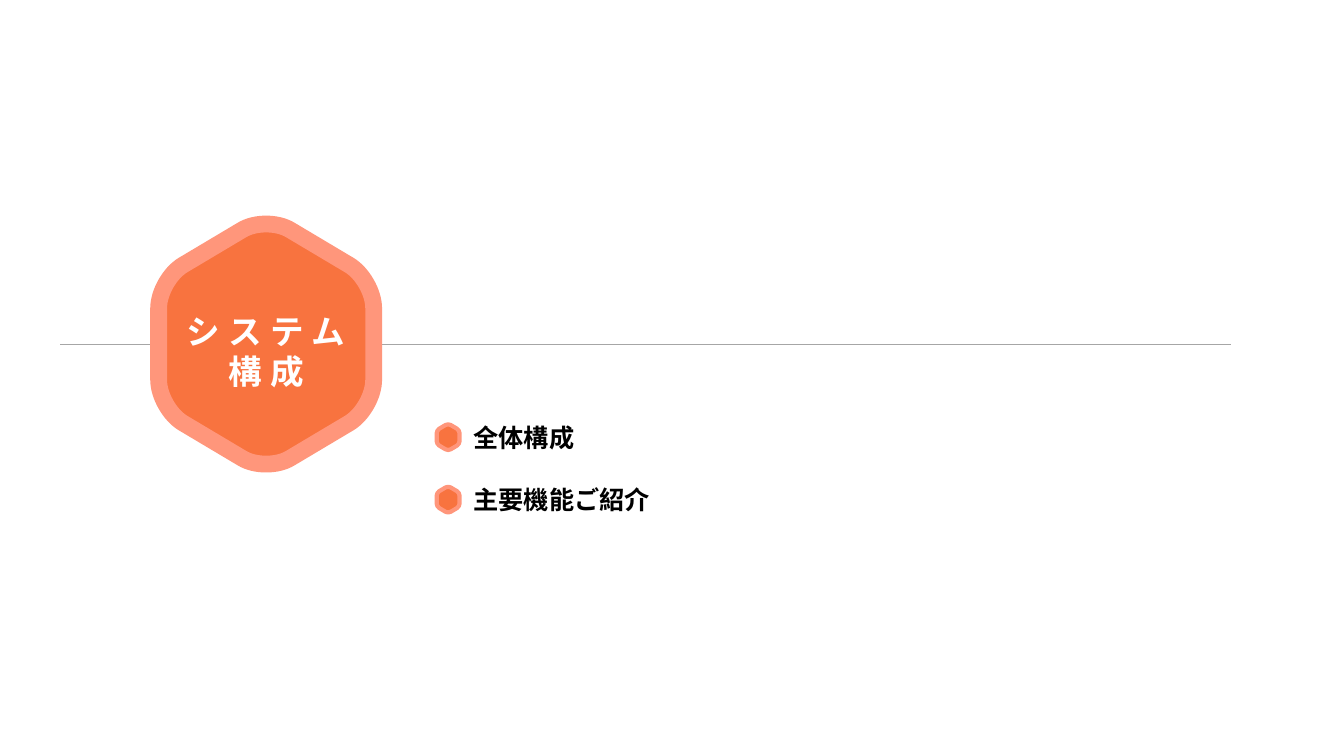
"""Section slide: system configuration, with two topics."""
from lxml import etree
from pptx import Presentation
from pptx import util as u
from pptx.dml.color import RGBColor
from pptx.enum import shapes, text
from pptx.oxml.ns import qn

COLORS = {"orange": "F8733F", "salmon": "FF967B", "gray": "A6A6A6",
          "white": "FFFFFF", "black": "000000"}
HALF_WIDTH, HALF_HEIGHT = 77, 86
SHOULDER = [(-77, -25.5), (-77, -37), (-69, -50.7), (-59.8, -56.4)]
CROWN = [(-17.3, -81.7), (-8, -87.4), (8, -87.4), (17.3, -81.7)]
UPPER = [SHOULDER, CROWN, [(-x, y) for x, y in reversed(SHOULDER)]]
CORNERS = UPPER + [[(-x, -y) for x, y in corner] for corner in UPPER]

deck = Presentation()
deck.slide_width, deck.slide_height = u.Pt(960), u.Pt(540)
slide = deck.slides.add_slide(deck.slide_layouts[6])


def add_hexagon(center_x, center_y, half_width, border):
    """Draw a hexagon with curved corners around a center."""
    scale = half_width / HALF_WIDTH
    half_height = HALF_HEIGHT * scale
    left, right = u.Pt(center_x - half_width), u.Pt(center_x + half_width)
    top, bottom = u.Pt(center_y - half_height), u.Pt(center_y + half_height)
    builder = slide.shapes.build_freeform(left, top)
    builder.add_line_segments([(right, top), (right, bottom), (left, bottom)])
    hexagon = builder.convert_to_shape()
    outline = next(hexagon.element.iter(qn("a:path")))
    for segment in list(outline):
        outline.remove(segment)
    for index, corner in enumerate(CORNERS):
        entry = "a:lnTo" if index else "a:moveTo"
        for tag, points in ((entry, corner[:1]), ("a:cubicBezTo", corner[1:])):
            segment = etree.SubElement(outline, qn(tag))
            for x, y in points:
                etree.SubElement(segment, qn("a:pt"),
                                 x=str(u.Pt((x + HALF_WIDTH) * scale)),
                                 y=str(u.Pt((y + HALF_HEIGHT) * scale)))
    etree.SubElement(outline, qn("a:close"))
    hexagon.shadow.inherit = False
    hexagon.fill.solid()
    hexagon.fill.fore_color.rgb = RGBColor.from_string(COLORS["orange"])
    hexagon.line.color.rgb = RGBColor.from_string(COLORS["salmon"])
    hexagon.line.width = u.Pt(border)


def add_label(left, top, width, height, words, size, font, color):
    """Add a bold text box and return its paragraphs."""
    box = slide.shapes.add_textbox(u.Pt(left), u.Pt(top), u.Pt(width), u.Pt(height))
    frame = box.text_frame
    frame.word_wrap = True
    frame.auto_size = text.MSO_AUTO_SIZE.SHAPE_TO_FIT_TEXT
    frame.text = words
    for para in frame.paragraphs:
        for span in para.runs:
            span.font.size, span.font.name, span.font.bold = u.Pt(size), font, True
            span.font.color.rgb = RGBColor.from_string(COLORS[color])
    return frame.paragraphs


rule = slide.shapes.add_connector(
    shapes.MSO_CONNECTOR.STRAIGHT, u.Pt(43.2), u.Pt(245.7), u.Pt(879.1), u.Pt(245.7))
rule.line.color.rgb = RGBColor.from_string(COLORS["gray"])
rule.line.width = u.Pt(0.5)
etree.SubElement(rule.element.spPr, qn("a:effectLst"))

add_hexagon(190.1, 245.8, 76.8, 12)
for para in add_label(103, 218.2, 174.2, 65.5, "システム\n構成", 24, "Arial", "white"):
    para.alignment = text.PP_ALIGN.CENTER
    for span in para.runs:
        span.font._element.set("spc", "600")

for row, (topic, width) in enumerate([("全体構成", 136.1), ("主要機能ご紹介", 297.4)]):
    top = 298 + row * 44.6
    add_hexagon(320.1, top + 14.3, 8.2, 3)
    add_label(331.2, top, width, 29.1, topic, 18, "Calibri", "black")

deck.save("out.pptx")
